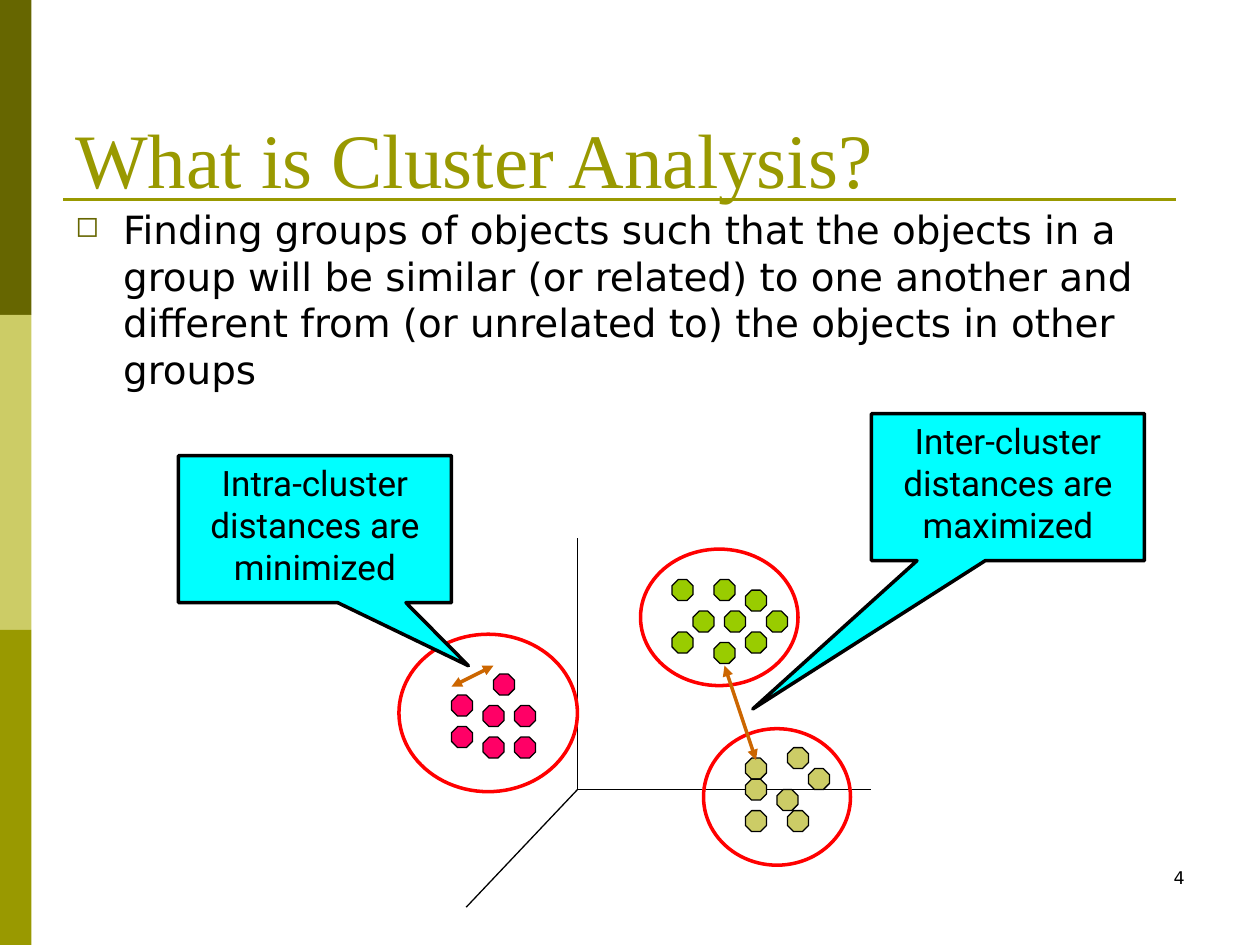
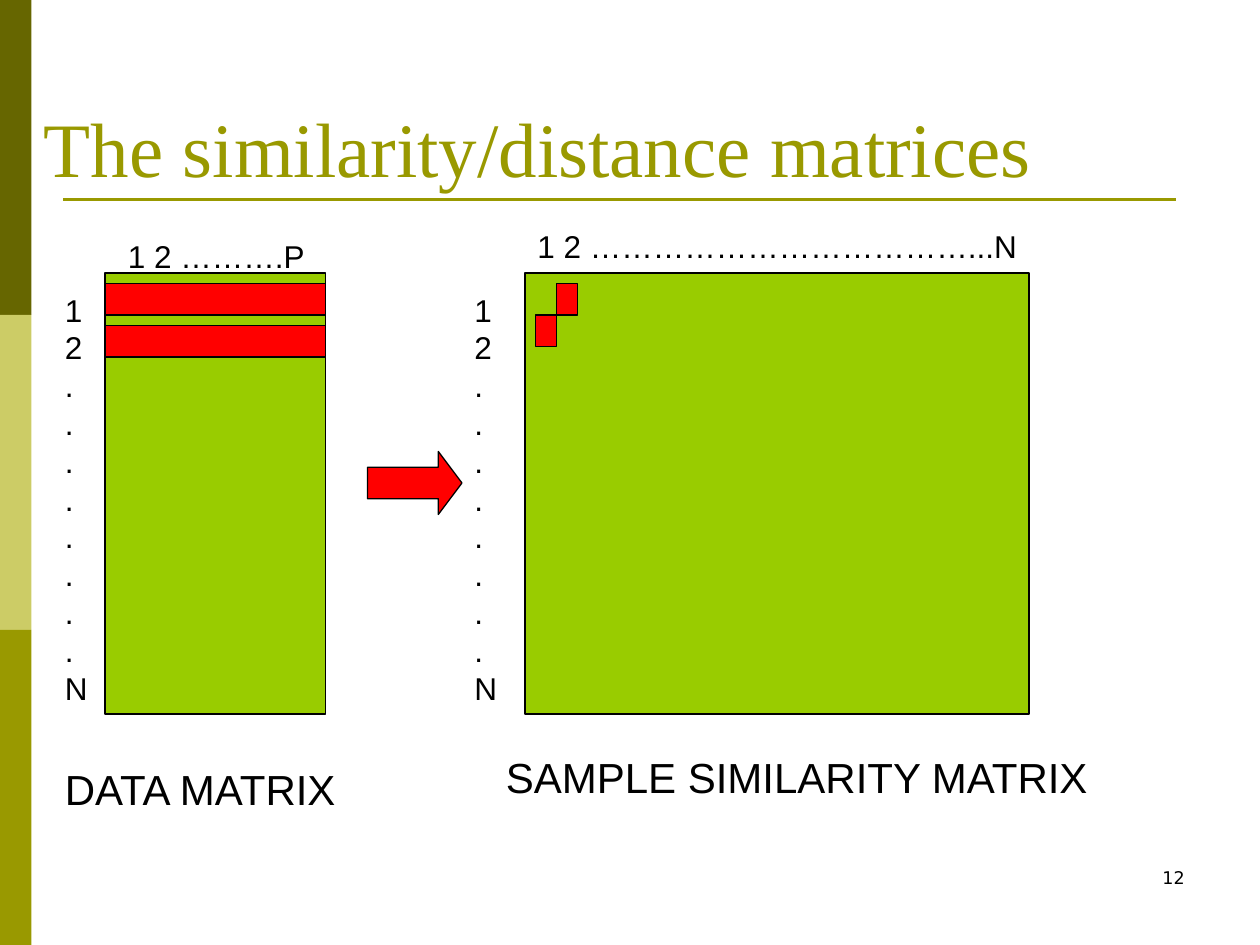
from dataclasses import dataclass
from typing import NamedTuple

from lxml import etree
from pptx import Presentation
from pptx import util as u
from pptx.dml.color import RGBColor
from pptx.enum import shapes, text
from pptx.oxml import ns

COLUMNS, ROWS = 120, 90
WIDTH, HEIGHT = u.Inches(10), u.Inches(7.5)
KIND = shapes.MSO_SHAPE
ALIGN = text.PP_ALIGN


class Style(NamedTuple):
    font: str
    size: float
    color: str


@dataclass(frozen=True)
class Theme:
    dark: str = "666600"
    pale: str = "CCCC66"
    olive: str = "999900"
    green: str = "99CC00"
    pink: str = "FF0066"
    red: str = "FF0000"
    cyan: str = "00FFFF"
    orange: str = "CC6600"
    ink: str = "000000"
    thin: float = 0.75
    rule: float = 1.5
    thick: float = 2
    title: Style = Style("Times New Roman", 44, "999900")
    body: Style = Style("DejaVu Sans", 22.2, "000000")
    number: Style = Style("DejaVu Sans", 10, "000000")
    callout: Style = Style("Roboto", 20, "000000")
    label: Style = Style("Arial", 18, "000000")
    caption: Style = Style("Arial", 24, "000000")
    leading: float = 1.2


THEME = Theme()


class Point(NamedTuple):
    column: float
    row: float


class Area(NamedTuple):
    column: float
    row: float
    columns: float
    rows: float


class Cluster(NamedTuple):
    color: str
    origin: Point
    members: list[tuple[int, int]]
    ring: Area


class Callout(NamedTuple):
    words: str
    area: Area
    tip: tuple[float, float]
    start: Point
    end: Point


class Matrix(NamedTuple):
    area: Area
    header: str
    header_area: Area
    index_area: Area
    caption: str
    caption_area: Area
    marks: list[Area]


CLUSTERS = [
    Cluster(THEME.green, Point(64, 55.2),
            [(2, 3), (5, 3), (4, 0), (4, 6), (9, 3), (7, 1), (0, 0), (7, 5), (0, 5)],
            Area(61, 52.3, 15, 13)),
    Cluster(THEME.pink, Point(43, 64.2),
            [(0, 2), (3, 3), (3, 6), (6, 3), (4, 0), (6, 6), (0, 5)],
            Area(38, 60.4, 17, 15)),
    Cluster(THEME.pale, Point(71, 71.2),
            [(0, 1), (6, 2), (3, 4), (0, 6), (4, 6), (0, 3), (4, 0)],
            Area(67, 69.4, 14, 13)),
]

CALLOUTS = [
    Callout("Inter-cluster distances are maximized", Area(83, 39.4, 26, 14),
            (-0.935, 1.509), Point(72, 72.4), Point(69, 63.4)),
    Callout("Intra-cluster distances are minimized", Area(17, 43.4, 26, 14),
            (0.562, 0.929), Point(43, 65.4), Point(47, 63.4)),
]

MATRICES = [
    Matrix(Area(10, 26, 21, 42), "1 2 ……….P", Area(11, 22, 25, 4.8),
           Area(5, 27.1, 4.5, 40.8), "DATA MATRIX", Area(5, 72.1, 29.3, 6),
           [Area(10, 27, 21, 3), Area(10, 31, 21, 3)]),
    Matrix(Area(50, 26, 48, 42), "1 2 ………………………………...N", Area(50, 21, 49, 4.8),
           Area(44, 27.1, 4.5, 40.8), "SAMPLE SIMILARITY MATRIX", Area(47, 71, 64, 6),
           [Area(53, 27, 2, 3), Area(51, 30, 2, 3)]),
]


def across(columns: float) -> int:
    return round(WIDTH * columns / COLUMNS)


def down(rows: float) -> int:
    return round(HEIGHT * rows / ROWS)


def place(area: Area) -> tuple[int, int, int, int]:
    return across(area.column), down(area.row), across(area.columns), down(area.rows)


def rgb(color: str) -> RGBColor:
    return RGBColor.from_string(color)


def write(shape, lines: list[str], style: Style, align=ALIGN.LEFT,
          anchor=text.MSO_ANCHOR.TOP, wrap: bool = True) -> None:
    frame = shape.text_frame
    frame.word_wrap = wrap
    frame.vertical_anchor = anchor
    for index, line in enumerate(lines):
        para = frame.add_paragraph() if index else frame.paragraphs[0]
        para.alignment = align
        para.line_spacing = u.Pt(style.size * THEME.leading)
        span = para.add_run()
        span.text = line
        span.font.name = style.font
        span.font.size = u.Pt(style.size)
        span.font.color.rgb = rgb(style.color)


def add_text(page, area: Area, lines: list[str], style: Style, **layout):
    box = page.shapes.add_textbox(*place(area))
    write(box, lines, style, **layout)
    return box


def add_shape(page, kind, area: Area, fill: str | None = None,
              line: str | None = THEME.ink, weight: float = THEME.thin):
    shape = page.shapes.add_shape(kind, *place(area))
    shape.shadow.inherit = False
    if fill:
        shape.fill.solid()
        shape.fill.fore_color.rgb = rgb(fill)
    else:
        shape.fill.background()
    if line:
        shape.line.color.rgb = rgb(line)
        shape.line.width = u.Pt(weight)
    else:
        shape.line.fill.background()
    return shape


def add_line(page, start: Point, end: Point, color: str = THEME.ink,
             weight: float = THEME.thin, arrows: bool = False) -> None:
    connector = page.shapes.add_connector(
        shapes.MSO_CONNECTOR.STRAIGHT,
        across(start.column), down(start.row), across(end.column), down(end.row))
    connector.line.color.rgb = rgb(color)
    connector.line.width = u.Pt(weight)
    if arrows:
        outline = connector.line._get_or_add_ln()
        for tag in ("a:headEnd", "a:tailEnd"):
            etree.SubElement(outline, ns.qn(tag), type="triangle")
    etree.SubElement(connector._element.spPr, ns.qn("a:effectLst"))


def add_bullet(para) -> None:
    props = para._p.get_or_add_pPr()
    props.set("marL", str(u.Inches(0.38)))
    props.set("indent", str(-u.Inches(0.38)))
    color = etree.SubElement(props, ns.qn("a:buClr"))
    etree.SubElement(color, ns.qn("a:srgbClr"), val=THEME.dark)
    etree.SubElement(props, ns.qn("a:buSzPct"), val="75000")
    etree.SubElement(props, ns.qn("a:buChar"), char="◻")


def add_page(deck, title: str, corner: Point, number: int):
    page = deck.slides.add_slide(deck.slide_layouts[6])
    band = ROWS / 3
    for index, color in enumerate((THEME.dark, THEME.pale, THEME.olive)):
        add_shape(page, KIND.RECTANGLE, Area(0, index * band, 3, band), color, None)
    add_line(page, Point(6, 19), Point(112, 19), THEME.olive, THEME.rule)
    add_text(page, Area(86, 82, 28, 6), [str(number)], THEME.number, align=ALIGN.RIGHT)
    add_text(page, Area(*corner, 108, 15), [title], THEME.title,
             anchor=text.MSO_ANCHOR.BOTTOM)
    return page


def draw_cluster_page(deck) -> None:
    page = add_page(deck, "What is Cluster Analysis?", Point(6, 5), 4)
    body = add_text(page, Area(6, 19, 108, 15), [
        "Finding groups of objects such that the objects in a group will be similar "
        "(or related) to one another and different from (or unrelated to) the objects "
        "in other groups"], THEME.body)
    add_bullet(body.text_frame.paragraphs[0])

    center = Point(55, 75.2)
    for tip in (Point(55, 51.2), Point(83, 75.2), Point(44.4, 86.4)):
        add_line(page, center, tip)
    for cluster in CLUSTERS:
        for column, row in cluster.members:
            spot = Area(cluster.origin.column + column, cluster.origin.row + row, 2, 2)
            add_shape(page, KIND.OCTAGON, spot, cluster.color)
    for cluster in CLUSTERS:
        add_shape(page, KIND.OVAL, cluster.ring, line=THEME.red, weight=THEME.thick)
    for callout in CALLOUTS:
        add_line(page, callout.start, callout.end, THEME.orange, THEME.thick, arrows=True)
        bubble = add_shape(page, KIND.RECTANGULAR_CALLOUT, callout.area,
                           THEME.cyan, weight=THEME.thick)
        bubble.adjustments[0], bubble.adjustments[1] = callout.tip
        write(bubble, [callout.words], THEME.callout, align=ALIGN.CENTER)


def draw_matrix_page(deck) -> None:
    page = add_page(deck, "The similarity/distance matrices", Point(3, 4), 12)
    index = ["1", "2", *["."] * 8, "N"]
    for matrix in MATRICES:
        add_shape(page, KIND.RECTANGLE, matrix.area, THEME.green)
        add_text(page, matrix.header_area, [matrix.header], THEME.label)
        add_text(page, matrix.index_area, index, THEME.label, wrap=False)
        add_text(page, matrix.caption_area, [matrix.caption], THEME.caption)
        for mark in matrix.marks:
            add_shape(page, KIND.RECTANGLE, mark, THEME.red)
    arrow = add_shape(page, KIND.RIGHT_ARROW, Area(35, 43, 9, 6), THEME.red)
    arrow.adjustments[1] = 0.375


def main() -> None:
    deck = Presentation()
    deck.slide_width, deck.slide_height = WIDTH, HEIGHT
    draw_cluster_page(deck)
    draw_matrix_page(deck)
    deck.save("out.pptx")


if __name__ == "__main__":
    main()
